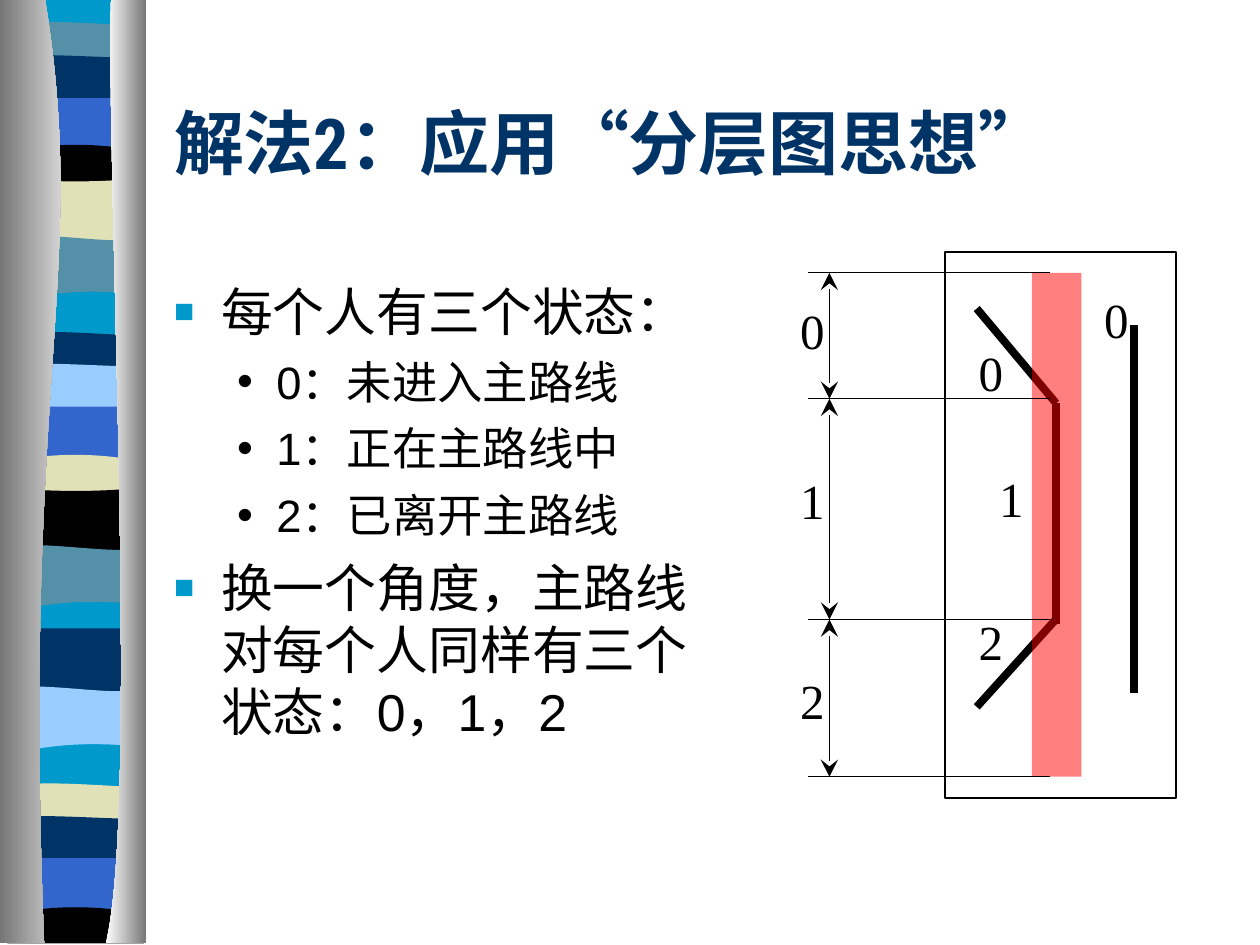
from itertools import pairwise

from lxml.etree import SubElement
from pptx import Presentation
from pptx.dml.color import RGBColor
from pptx.enum.shapes import MSO_CONNECTOR as Connector
from pptx.enum.shapes import MSO_SHAPE as Shape
from pptx.enum.text import MSO_ANCHOR as Anchor
from pptx.oxml.ns import qn
from pptx.util import Cm, Pt

BLACK = RGBColor(0x00, 0x00, 0x00)
WHITE = RGBColor(0xFF, 0xFF, 0xFF)
GREY = RGBColor(0x76, 0x76, 0x76)
RED = RGBColor(0xFF, 0x00, 0x00)
NAVY = RGBColor(0x00, 0x33, 0x66)
BLUE = RGBColor(0x33, 0x66, 0xCC)
CYAN = RGBColor(0x00, 0x99, 0xCC)
TEAL = RGBColor(0x54, 0x90, 0xA8)
SKY = RGBColor(0x99, 0xCC, 0xFF)
SAND = RGBColor(0xE1, 0xE1, 0xB7)

deck = Presentation()
deck.slide_width, deck.slide_height = Cm(25.4), Cm(19.05)
page = deck.slides.add_slide(deck.slide_layouts[6])


def add_outline(points, colors, curve_starts):
    corners = [(Cm(x), Cm(y)) for x, y in points]
    builder = page.shapes.build_freeform(*corners[0])
    builder.add_line_segments(corners[1:], close=True)
    outline = builder.convert_to_shape()
    segments = list(outline._element.iter(qn("a:lnTo")))
    for start in curve_starts:
        first, *others = segments[start:start + 3]
        first.tag = qn("a:cubicBezTo")
        for segment in others:
            first.append(segment[0])
            segment.getparent().remove(segment)
    outline.shadow.inherit = False
    outline.line.fill.background()
    if len(colors) == 1:
        outline.fill.solid()
        outline.fill.fore_color.rgb = colors[0]
    else:
        outline.fill.gradient()
        outline.fill.gradient_angle = 0
        for stop, color in zip(outline.fill.gradient_stops, colors):
            stop.color.rgb = color


def add_line(x1, y1, x2, y2, width=0.75, arrows=False):
    line = page.shapes.add_connector(Connector.STRAIGHT, Cm(x1), Cm(y1), Cm(x2), Cm(y2))
    line.line.color.rgb = BLACK
    line.line.width = Pt(width)
    properties = line._element.spPr
    if arrows:
        for tag in ("a:headEnd", "a:tailEnd"):
            SubElement(properties.find(qn("a:ln")), qn(tag), type="stealth", w="lg", len="lg")
    SubElement(properties, qn("a:effectLst"))


FLAT = ((0.3, 0), (0.7, 0))
SAG = ((0.17, 0.13), (0.83, 0.13))
ARCH = ((0.3, -0.2), (0.7, -0.2))
RIPPLE = ((0.3, -0.13), (0.83, 0.2))
SWELL = ((0.17, 0.2), (0.31, -0.2))
CREST = ((0.17, -0.13), (0.4, -0.1))
LIFT = ((0.14, -0.13), (0.67, 0))

bands = [
    (0.53, TEAL, CREST), (1.17, NAVY, LIFT), (1.98, BLUE, FLAT), (3.07, BLACK, ARCH),
    (3.56, SAND, SAG), (4.78, TEAL, RIPPLE), (5.89, CYAN, SWELL), (6.78, NAVY, CREST),
    (7.39, SKY, LIFT), (8.2, BLUE, FLAT), (9.32, SAND, ARCH), (9.8, BLACK, SAG),
    (11.02, TEAL, RIPPLE), (12.14, CYAN, SWELL), (12.67, NAVY, FLAT), (13.87, SKY, RIPPLE),
    (15.01, CYAN, SWELL), (15.88, SAND, CREST), (16.51, NAVY, LIFT), (17.3, BLUE, FLAT),
    (18.44, BLACK, ARCH), (18.97, CYAN, FLAT),
]
left, right, bottom, overlap = 0.15, 2.9, 19.02, 0.05
add_outline([(left, 0), (right, 0), (right, bottom), (left, bottom)], [CYAN], [])
for (top, color, wave), (floor, _, floor_wave) in pairwise(bands):
    if color == CYAN:
        continue
    base = floor + overlap
    upper = [(left + share * (right - left), top + shift) for share, shift in wave]
    lower = [(left + share * (right - left), base + shift) for share, shift in reversed(floor_wave)]
    points = [(left, top), *upper, (right, top), (right, base), *lower, (left, base)]
    add_outline(points, [color], [0, 4])

left_curtain = [(0.91, 0), (1.8, 5.49), (0.43, 7.52), (0.89, bottom), (0, bottom), (0, 0)]
right_curtain = [(2.24, 0), (2.13, 3.18), (2.82, 16.41), (2.13, bottom), (2.95, bottom), (2.95, 0)]
add_outline(left_curtain, [GREY, WHITE], [0])
add_outline(right_curtain, [WHITE, GREY], [0])

title = page.shapes.add_textbox(Cm(3.26), Cm(1.27), Cm(21.59), Cm(3.18))
title.text_frame.word_wrap = True
title.text_frame.vertical_anchor = Anchor.MIDDLE
span = title.text_frame.paragraphs[0].add_run()
span.text = "解法2：应用“分层图思想”"
span.font.name, span.font.size, span.font.bold = "Roboto Condensed", Pt(40), True
span.font.color.rgb = NAVY

body = page.shapes.add_textbox(Cm(3.26), Cm(5.51), Cm(11.56), Cm(11))
body.text_frame.word_wrap = True
points = [
    (0, "每个人有三个状态："),
    (1, "0：未进入主路线"),
    (1, "1：正在主路线中"),
    (1, "2：已离开主路线"),
    (0, "换一个角度，主路线对每个人同样有三个状态：0，1，2"),
]
styles = [
    (0.95, 0.95, 8, 29.6, CYAN, 65, "■"),
    (2.06, 0.79, 7, 25.9, BLACK, 100, "•"),
]
for index, (level, text) in enumerate(points):
    margin, hang, gap, size, color, percent, mark = styles[level]
    para = body.text_frame.paragraphs[0] if index == 0 else body.text_frame.add_paragraph()
    para.level = level
    properties = para._p.get_or_add_pPr()
    properties.set("marL", str(Cm(margin)))
    properties.set("indent", str(-Cm(hang)))
    SubElement(SubElement(properties, qn("a:buClr")), qn("a:srgbClr"), val=str(color))
    SubElement(properties, qn("a:buSzPct"), val=str(percent * 1000))
    SubElement(properties, qn("a:buFont"), typeface="Arial")
    SubElement(properties, qn("a:buChar"), char=mark)
    if index:
        para.space_before = Pt(gap)
    span = para.add_run()
    span.text = text
    span.font.name, span.font.size = "Arial", Pt(size)
    span.font.color.rgb = BLACK

frame = page.shapes.add_shape(Shape.RECTANGLE, Cm(19.05), Cm(5.08), Cm(4.66), Cm(11.01))
frame.shadow.inherit = False
frame.fill.background()
frame.line.color.rgb = BLACK
frame.line.width = Pt(0.75)

for ends in [(21.29, 12.57, 21.29, 8.13), (21.29, 8.13, 19.69, 6.22), (21.29, 12.48, 19.69, 14.25)]:
    add_line(*ends, width=4.5)

main_route = page.shapes.add_shape(Shape.RECTANGLE, Cm(20.8), Cm(5.5), Cm(1), Cm(10.16))
main_route.shadow.inherit = False
main_route.line.fill.background()
main_route.fill.solid()
main_route.fill.fore_color.rgb = RED
SubElement(main_route._element.spPr.find(".//" + qn("a:srgbClr")), qn("a:alpha"), val="50000")

add_line(22.86, 13.97, 22.86, 6.56, width=4.5)

levels = [5.5, 8.04, 12.49, 15.66]
for level in levels:
    add_line(21.17, level, 16.29, level)
for upper, lower in pairwise(levels):
    add_line(16.72, upper, 16.72, lower, arrows=True)

labels = [
    ("02", 19.48, 6.78, 6.86), ("1", 19.89, 9.32, 1.45), ("0", 22.01, 5.72, 1.45),
    ("0", 15.88, 5.93, 1.45), ("1", 15.88, 9.36, 1.45), ("2", 15.88, 13.39, 1.45),
]
for digits, x, y, height in labels:
    box = page.shapes.add_textbox(Cm(x), Cm(y), Cm(1.48), Cm(height))
    box.text_frame.word_wrap = True
    for index, digit in enumerate(digits):
        para = box.text_frame.add_paragraph() if index else box.text_frame.paragraphs[0]
        if index:
            para.space_before = Pt(120)
        span = para.add_run()
        span.text = digit
        span.font.name, span.font.size = "Times New Roman", Pt(28)
        span.font.color.rgb = BLACK

deck.save("out.pptx")
